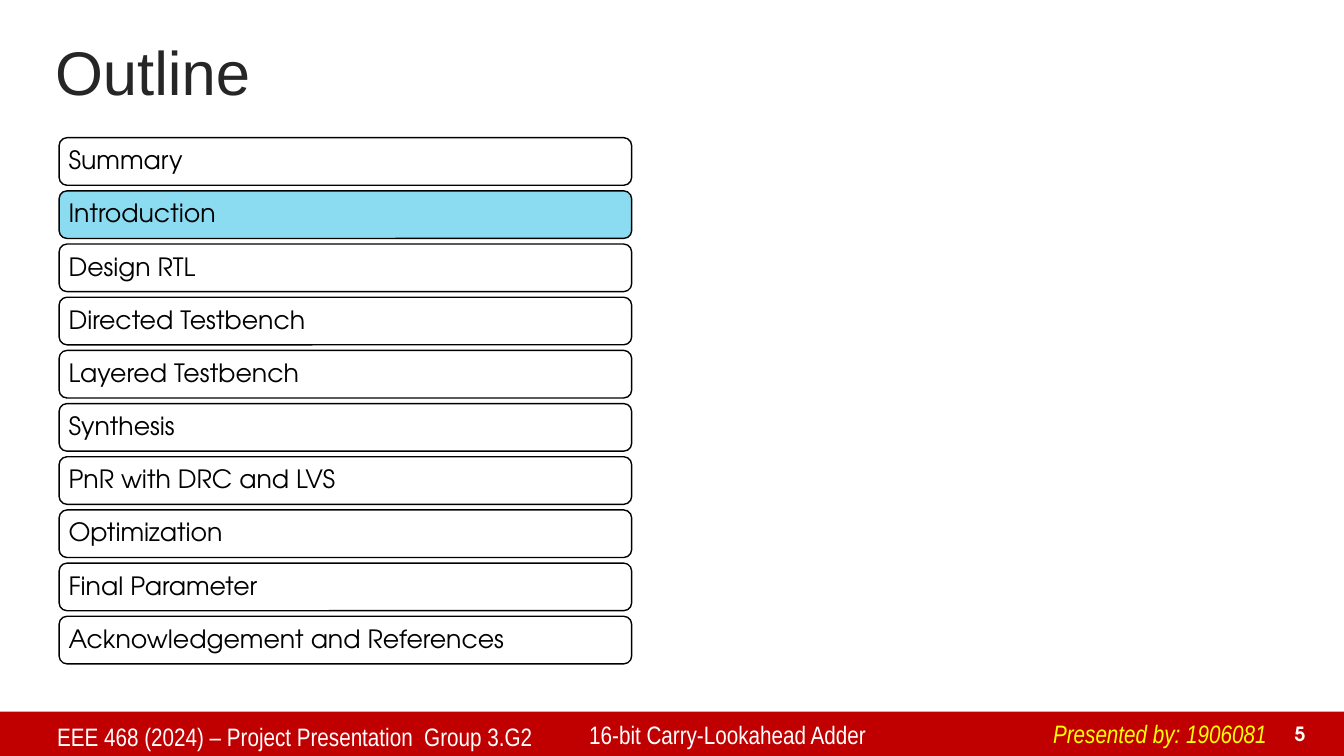
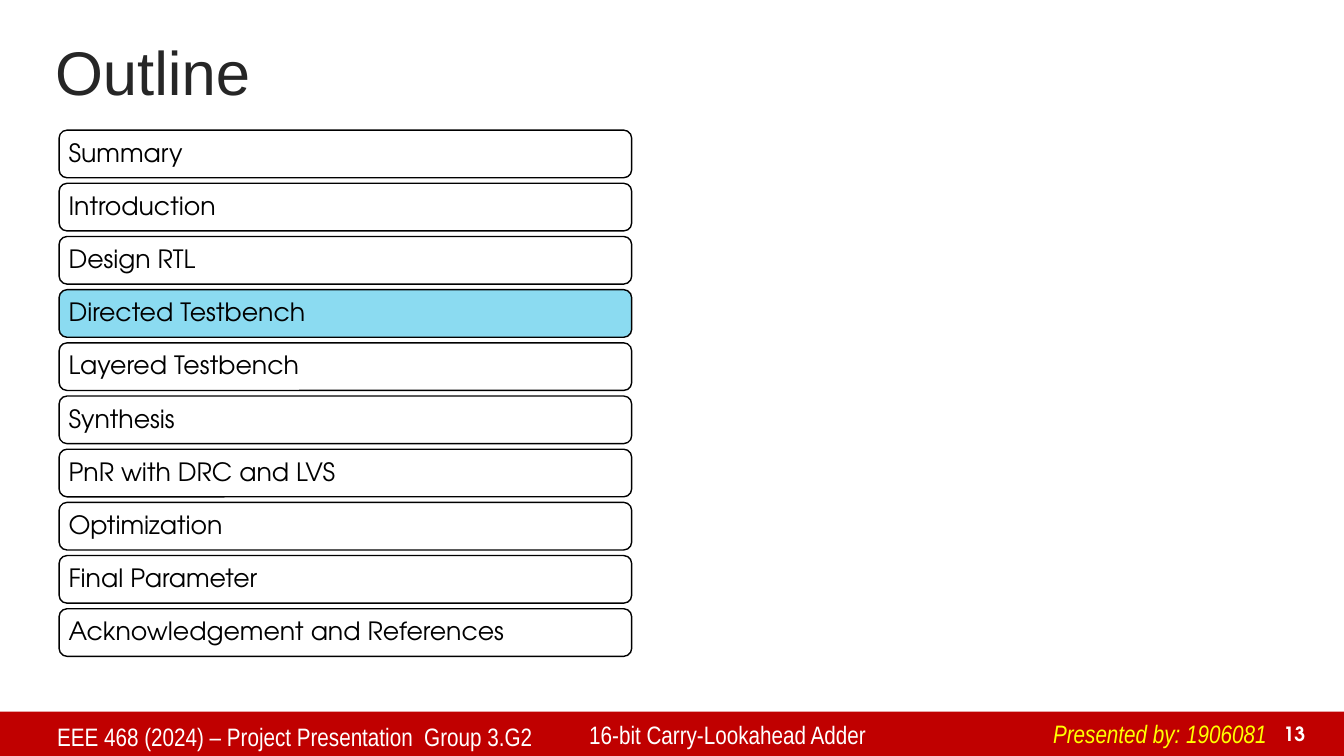
from dataclasses import dataclass

from pptx import Presentation
from pptx.dml.color import RGBColor
from pptx.enum.shapes import MSO_SHAPE
from pptx.enum.text import MSO_ANCHOR, PP_ALIGN
from pptx.util import Cm, Pt


@dataclass(frozen=True)
class Theme:
    white: str = "FFFFFF"
    black: str = "000000"
    title: str = "262626"
    band: str = "C00000"
    highlight: str = "8BDBF1"
    presenter: str = "FFFF00"
    title_font: str = "Arial"
    footer_font: str = "Arial Narrow"
    body_font: str = "TeX Gyre Adventor"
    title_size: int = 44
    text_size: int = 18
    number_size: int = 14


THEME = Theme()
SLIDE_W, SLIDE_H = 33.87, 19.05
BAND_TOP = 17.93

TOPICS = [
    "Summary",
    "Introduction",
    "Design RTL",
    "Directed Testbench",
    "Layered Testbench",
    "Synthesis",
    "PnR with DRC and LVS",
    "Optimization",
    "Final Parameter",
    "Acknowledgement and References",
]
TOPIC_LEFT, TOPIC_W, TOPIC_H, TOPIC_PITCH = 1.49, 14.43, 1.2, 1.34
TOPIC_INSET = 0.18

# Page number, current topic, top of the list in cm
OUTLINES = [
    (5, "Introduction", 3.47),
    (13, "Directed Testbench", 3.28),
]


def write(sp, text, font, size, color, anchor=MSO_ANCHOR.TOP,
          align=PP_ALIGN.LEFT, spacing=None, bold=False, italic=False):
    tf = sp.text_frame
    tf.text = text
    tf.vertical_anchor = anchor
    p = tf.paragraphs[0]
    p.alignment = align
    p.line_spacing = spacing
    r = p.runs[0]
    r.font.name = font
    r.font.size = Pt(size)
    r.font.color.rgb = RGBColor.from_string(color)
    r.font.bold = bold
    r.font.italic = italic


def add_text(s, box, text, font, size, color, wrap=True, **style):
    sp = s.shapes.add_textbox(*map(Cm, box))
    write(sp, text, font, size, color, **style)
    sp.text_frame.word_wrap = wrap


def add_box(s, kind, box, fill, line=None):
    """Add a filled shape, outlined at 1 pt when a line colour is given."""
    sp = s.shapes.add_shape(kind, *map(Cm, box))
    sp.shadow.inherit = False
    sp.fill.solid()
    sp.fill.fore_color.rgb = RGBColor.from_string(fill)
    if line:
        sp.line.color.rgb = RGBColor.from_string(line)
        sp.line.width = Pt(1)
    else:
        sp.line.fill.background()
    return sp


def add_title(s, text):
    add_text(s, (1.14, 0.89, 27.94, 2.03), text, THEME.title_font,
             THEME.title_size, THEME.title, anchor=MSO_ANCHOR.MIDDLE, spacing=0.9)


def add_footer(s, number):
    add_box(s, MSO_SHAPE.RECTANGLE,
            (0, BAND_TOP, SLIDE_W, SLIDE_H - BAND_TOP), THEME.band)
    add_text(s, (31.7, 18.06, 1.45, 0.86), str(number), THEME.body_font,
             THEME.number_size, THEME.white, anchor=MSO_ANCHOR.BOTTOM,
             align=PP_ALIGN.RIGHT, bold=True)
    font, size = THEME.footer_font, THEME.text_size
    add_text(s, (1.19, 18.06, 13.41, 1.03),
             "EEE 468 (2024) – Project Presentation  Group 3.G2",
             font, size, THEME.white)
    add_text(s, (14.6, 18.01, 10.77, 1.03), "16-bit Carry-Lookahead Adder",
             font, size, THEME.white)
    add_text(s, (26.29, 17.98, 5.97, 1.03), "Presented by: 1906081",
             font, size, THEME.presenter, wrap=False, italic=True)


def add_topics(s, current, top):
    """Stack the topic bars from top down, colouring the current one."""
    for i, topic in enumerate(TOPICS):
        fill = THEME.highlight if topic == current else THEME.white
        box = (TOPIC_LEFT, top + i * TOPIC_PITCH, TOPIC_W, TOPIC_H)
        sp = add_box(s, MSO_SHAPE.ROUNDED_RECTANGLE, box, fill, THEME.black)
        write(sp, topic, THEME.body_font, THEME.text_size, THEME.black,
              anchor=MSO_ANCHOR.MIDDLE, spacing=0.9)
        tf = sp.text_frame
        tf.margin_left = tf.margin_right = Cm(TOPIC_INSET)
        tf.margin_top = tf.margin_bottom = Cm(TOPIC_INSET)


def main():
    prs = Presentation()
    prs.slide_width, prs.slide_height = Cm(SLIDE_W), Cm(SLIDE_H)
    blank = prs.slide_layouts[6]
    for number, current, top in OUTLINES:
        s = prs.slides.add_slide(blank)
        add_title(s, "Outline")
        add_footer(s, number)
        add_topics(s, current, top)
    prs.save("out.pptx")


if __name__ == "__main__":
    main()
